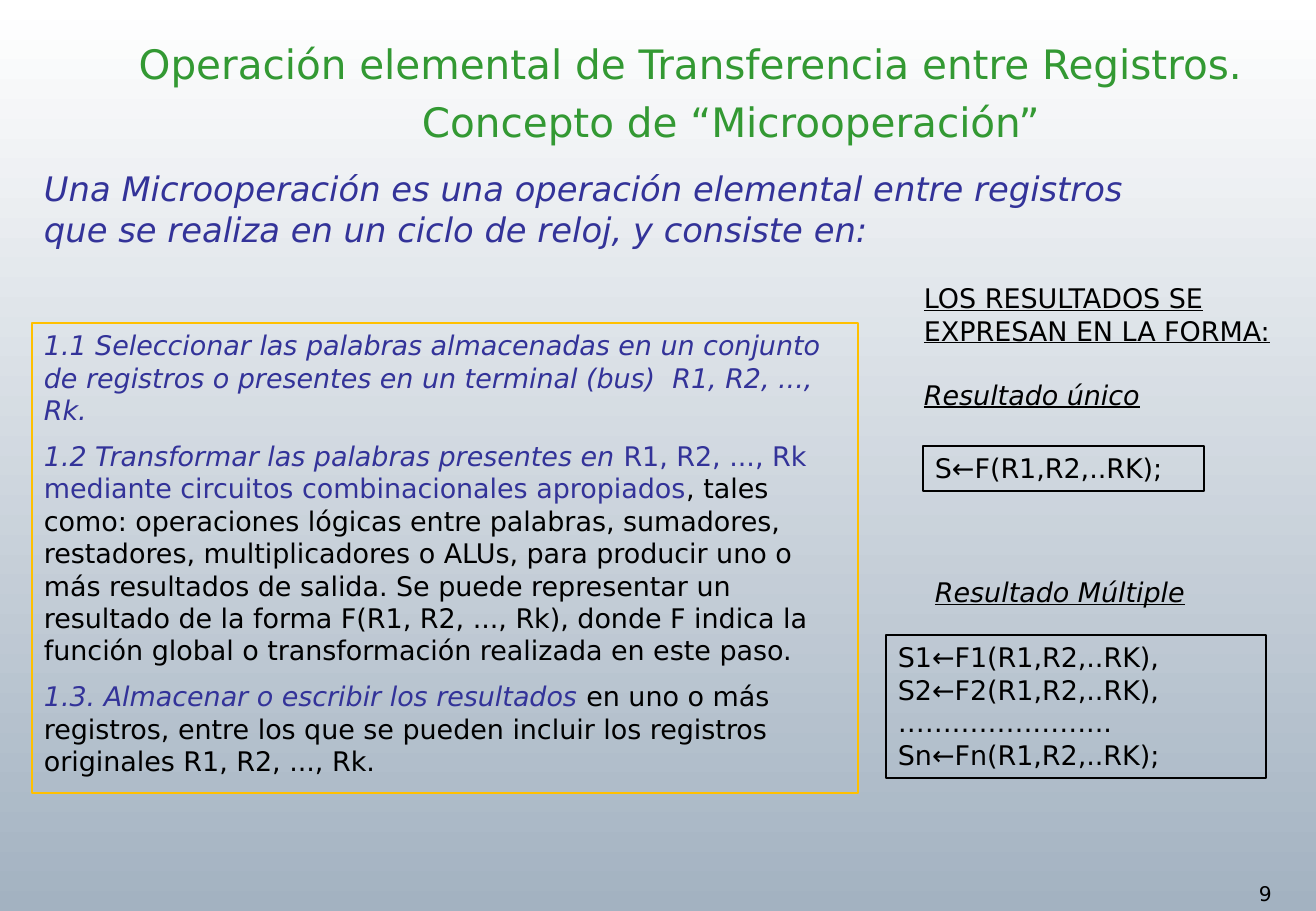
from pptx import Presentation
from pptx.dml.color import RGBColor
from pptx.enum.shapes import MSO_SHAPE
from pptx.enum.text import MSO_ANCHOR, PP_ALIGN
from pptx.util import Emu, Pt

RECTANGLE = MSO_SHAPE.RECTANGLE
TOP = MSO_ANCHOR.TOP
LEFT = PP_ALIGN.LEFT
CENTER = PP_ALIGN.CENTER

EMU_PER_PX = 914400 / 121.5
FONT = "DejaVu Sans"
COLORS = {
    "sky": "FFFFFF",
    "ground": "A3B2C1",
    "title": "339933",
    "accent": "333399",
    "ink": "000000",
    "frame": "FFC000",
}


def px(length):
    return Emu(round(length * EMU_PER_PX))


def rgb(name):
    return RGBColor.from_string(COLORS[name])


def run(text, size=16, color="ink", italic=False, underline=False):
    return {"text": text, "size": size, "color": color,
            "italic": italic, "underline": underline}


class SlideBuilder:
    def __init__(self, presentation):
        self.slide = presentation.slides.add_slide(presentation.slide_layouts[6])

    def background(self, start, end):
        fill = self.slide.background.fill
        fill.gradient()
        fill.gradient_angle = 270
        for stop, color, position in zip(fill.gradient_stops, (start, end), (0, 1)):
            stop.color.rgb = rgb(color)
            stop.position = position

    def fill_text(self, shape, paragraphs, gap=0, align=LEFT, spacing=None, hanging=0):
        frame = shape.text_frame
        frame.word_wrap = True
        frame.vertical_anchor = TOP
        for index, runs in enumerate(paragraphs):
            paragraph = frame.paragraphs[0] if index == 0 else frame.add_paragraph()
            paragraph.alignment = align
            if index and gap:
                paragraph.space_before = Pt(gap)
            if spacing:
                paragraph.line_spacing = spacing
            if hanging:
                properties = paragraph._p.get_or_add_pPr()
                properties.set("marL", str(px(hanging)))
                properties.set("indent", str(-px(hanging)))
            for style in runs:
                piece = paragraph.add_run()
                piece.text = style["text"]
                font = piece.font
                font.name = FONT
                font.size = Pt(style["size"])
                font.italic = style["italic"]
                font.underline = style["underline"]
                font.color.rgb = rgb(style["color"])

    def text(self, box, paragraphs, **layout):
        shape = self.slide.shapes.add_textbox(*map(px, box))
        self.fill_text(shape, paragraphs, **layout)

    def framed(self, box, paragraphs, line="ink", weight=1.5, **layout):
        shape = self.slide.shapes.add_shape(RECTANGLE, *map(px, box))
        shape.shadow.inherit = False
        shape.fill.background()
        shape.line.color.rgb = rgb(line)
        shape.line.width = Pt(weight)
        self.fill_text(shape, paragraphs, **layout)


def main():
    presentation = Presentation()
    presentation.slide_width = px(1316)
    presentation.slide_height = px(911)
    page = SlideBuilder(presentation)
    page.background("sky", "ground")

    page.text((1247, 875, 69, 36), [[run("9", size=12)]])
    page.text((98, 23, 1185, 130), [[run(
        "Operación elemental de Transferencia entre Registros. "
        "Concepto de “Microoperación”", size=24, color="title")]],
        align=CENTER, spacing=1.2, hanging=81)
    page.text((32, 162, 1168, 94), [[run(
        "Una Microoperación es una operación elemental entre registros "
        "que se realiza en un ciclo de reloj, y consiste en:",
        size=20, color="accent", italic=True)]])

    steps = [
        [run("1.1 Seleccionar las palabras almacenadas en un conjunto de registros "
             "o presentes en un terminal (bus)  R1, R2, ..., Rk.",
             color="accent", italic=True)],
        [run("1.2 Transformar las palabras presentes en ", color="accent", italic=True),
         run("R1, R2, ..., Rk mediante circuitos combinacionales apropiados",
             color="accent"),
         run(", tales como: operaciones lógicas entre palabras, sumadores, "
             "restadores, multiplicadores o ALUs, para producir uno o más "
             "resultados de salida. Se puede representar un resultado de la "
             "forma F(R1, R2, ..., Rk), donde F indica la función global o "
             "transformación realizada en este paso.")],
        [run("1.3. Almacenar o escribir los resultados ", color="accent", italic=True),
         run("en uno o más registros, entre los que se pueden incluir los "
             "registros originales R1, R2, ..., Rk.")],
    ]
    page.framed((32, 323, 826, 470), steps, line="frame", weight=0.75, gap=8)

    page.text((912, 276, 423, 143), [
        [run("LOS RESULTADOS SE EXPRESAN EN LA FORMA:", underline=True)],
        [run("Resultado único", italic=True, underline=True)],
    ], gap=19)
    page.framed((923, 446, 281, 45), [[run("S←F(R1,R2,..RK);")]])
    page.text((923, 570, 290, 45),
              [[run("Resultado Múltiple", italic=True, underline=True)]])
    page.framed((886, 635, 380, 143), [
        [run("S1←F1(R1,R2,..RK), S2←F2(R1,R2,..RK),")],
        [run("…………………...")],
        [run("Sn←Fn(R1,R2,..RK);")],
    ])

    presentation.save("out.pptx")


if __name__ == "__main__":
    main()
